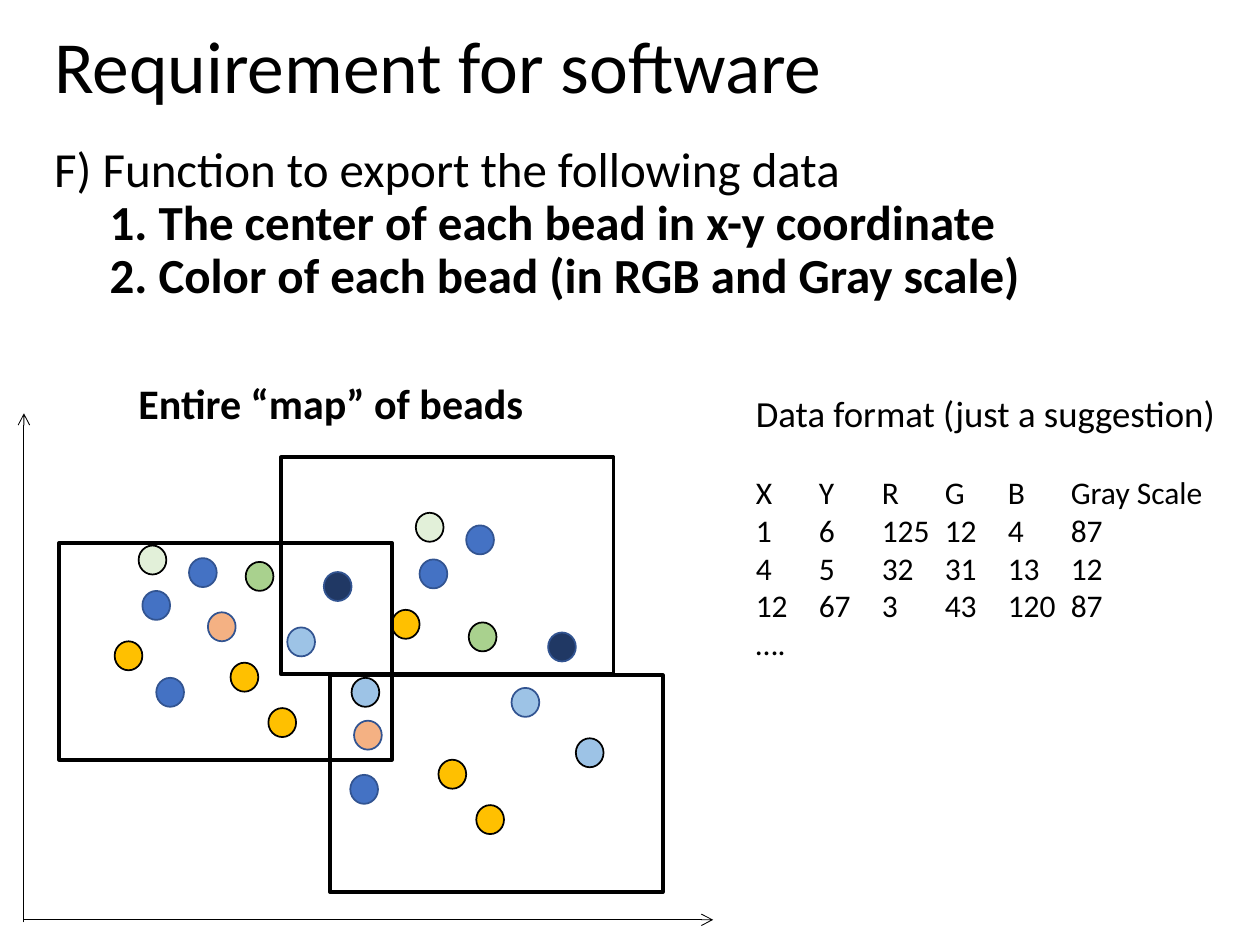
from pptx import Presentation
from pptx.dml.color import RGBColor
from pptx.enum.shapes import MSO_CONNECTOR as CONNECTOR, MSO_SHAPE as SHAPE
from pptx.enum.text import MSO_ANCHOR as ANCHOR, MSO_AUTO_SIZE as AUTO_SIZE, PP_ALIGN as ALIGN
from pptx.oxml.ns import qn
from pptx.util import Inches, Pt
from lxml import etree

BLACK = RGBColor(0x00, 0x00, 0x00)
EDGE_BLUE = RGBColor(0x32, 0x54, 0x91)
BLUE = RGBColor(0x44, 0x72, 0xC4)
NAVY = RGBColor(0x20, 0x38, 0x64)
SKY = RGBColor(0x9D, 0xC3, 0xE6)
PEACH = RGBColor(0xF4, 0xB1, 0x83)
GOLD = RGBColor(0xFF, 0xC0, 0x00)
GREEN = RGBColor(0xA9, 0xD1, 0x8E)
PALE_GREEN = RGBColor(0xE2, 0xF0, 0xD9)


def place(shape, left, top, width, height):
    shape.left, shape.top = Inches(left), Inches(top)
    shape.width, shape.height = Inches(width), Inches(height)


def style(paragraph, size, bold=False):
    font = paragraph.font
    font.name, font.size, font.bold = "Calibri", Pt(size), bold
    font.color.rgb = BLACK


deck = Presentation()
deck.slide_width, deck.slide_height = Inches(10), Inches(7.5)
page = deck.slides.add_slide(deck.slide_layouts[1])
shapes = page.shapes

# Title
title = shapes.title
place(title, 0.33, 0.21, 9.17, 0.68)
title.text_frame.text = "Requirement for software"
title.text_frame.auto_size = AUTO_SIZE.NONE
title.text_frame.vertical_anchor = ANCHOR.MIDDLE
heading = title.text_frame.paragraphs[0]
heading.alignment = ALIGN.LEFT
heading.line_spacing = 0.9
style(heading, 42)

# Requirements
body = page.placeholders[1]
place(body, 0.33, 1, 9.43, 1.56)
frame = body.text_frame
frame.auto_size = AUTO_SIZE.NONE
frame.vertical_anchor = ANCHOR.MIDDLE
frame.text = "\n".join([
    "F) Function to export the following data",
    "1. The center of each bead in x-y coordinate",
    "2. Color of each bead (in RGB and Gray scale)",
])
for number, paragraph in enumerate(frame.paragraphs):
    is_item = number > 0
    paragraph.line_spacing = 0.9
    paragraph.space_before = Pt(0)
    style(paragraph, 28, is_item)
    properties = paragraph._p.get_or_add_pPr()
    properties.set("marL", str(Inches(0.44 if is_item else 0)))
    properties.set("indent", "0")
    etree.SubElement(properties, qn("a:buNone"))
    properties.insert_element_before(properties.find(qn("a:buNone")), "a:tabLst", "a:defRPr")

# Beads: fill, outline and top left corners
BEADS = [
    (BLUE, EDGE_BLUE, [(1.13, 4.69), (1.5, 4.43), (1.24, 5.38), (3.33, 4.44),
                       (3.7, 4.17), (2.78, 6.15)]),
    (PALE_GREEN, BLACK, [(1.1, 4.33), (3.3, 4.07)]),
    (PEACH, EDGE_BLUE, [(1.65, 4.86), (2.81, 5.72)]),
    (GOLD, BLACK, [(0.91, 5.09), (1.83, 5.26), (2.13, 5.62), (3.11, 4.84),
                   (3.48, 6.03), (3.78, 6.39)]),
    (NAVY, EDGE_BLUE, [(2.57, 4.54), (4.35, 5.02)]),
    (GREEN, BLACK, [(1.95, 4.46), (3.72, 4.94)]),
    (SKY, EDGE_BLUE, [(2.28, 4.98), (4.06, 5.46)]),
    (SKY, BLACK, [(2.79, 5.38), (4.57, 5.86)]),
]
for fill, edge, corners in BEADS:
    for left, top in corners:
        bead = shapes.add_shape(SHAPE.OVAL, Inches(left), Inches(top), Inches(0.22), Inches(0.23))
        bead.shadow.inherit = False
        bead.fill.solid()
        bead.fill.fore_color.rgb = fill
        bead.line.color.rgb = edge
        bead.line.width = Pt(1)

# Overlapping image fields
for left, top in [(0.47, 4.31), (2.23, 3.63), (2.62, 5.36)]:
    field = shapes.add_shape(SHAPE.RECTANGLE, Inches(left), Inches(top), Inches(2.64), Inches(1.72))
    field.shadow.inherit = False
    field.fill.background()
    field.line.color.rgb = BLACK
    field.line.width = Pt(2.25)

# Axes
for start_y, end_x, end_y in [(7.32, 0.19, 3.28), (7.3, 5.66, 7.3)]:
    axis = shapes.add_connector(CONNECTOR.STRAIGHT, Inches(0.19), Inches(start_y),
                                Inches(end_x), Inches(end_y))
    axis.line.color.rgb = BLACK
    axis.line.width = Pt(0.5)
    etree.SubElement(axis.line._get_or_add_ln(), qn("a:tailEnd"), type="arrow")
    etree.SubElement(axis._element.spPr, qn("a:effectLst"))

# Map caption and data sample
ROWS = [
    ("X", "Y", "R", "G", "B", "Gray Scale"),
    (1, 6, 125, 12, 4, 87),
    (4, 5, 32, 31, 13, 12),
    (12, 67, 3, 43, 120, 87),
    ("\u2026.",),
]
sample = ["Data format (just a suggestion)"] + ["\t".join(map(str, row)) for row in ROWS]
NOTES = [
    ((1, 2.95, 3.29, 0.5), ["Entire \u201cmap\u201d of beads"], 24, True),
    ((5.9, 3.05, 3.88, 2.27), sample, 21, False),
]
for position, lines, size, bold in NOTES:
    box = shapes.add_textbox(*map(Inches, position))
    frame = box.text_frame
    frame.word_wrap = False
    frame.auto_size = AUTO_SIZE.SHAPE_TO_FIT_TEXT
    frame.text = "\n".join(lines)
    for number, paragraph in enumerate(frame.paragraphs):
        style(paragraph, 18 if number else size, bold)
        paragraph._p.get_or_add_pPr().set("defTabSz", str(Inches(0.5)))
        if number == 1:
            paragraph.space_before = Pt(22)

deck.save("out.pptx")
